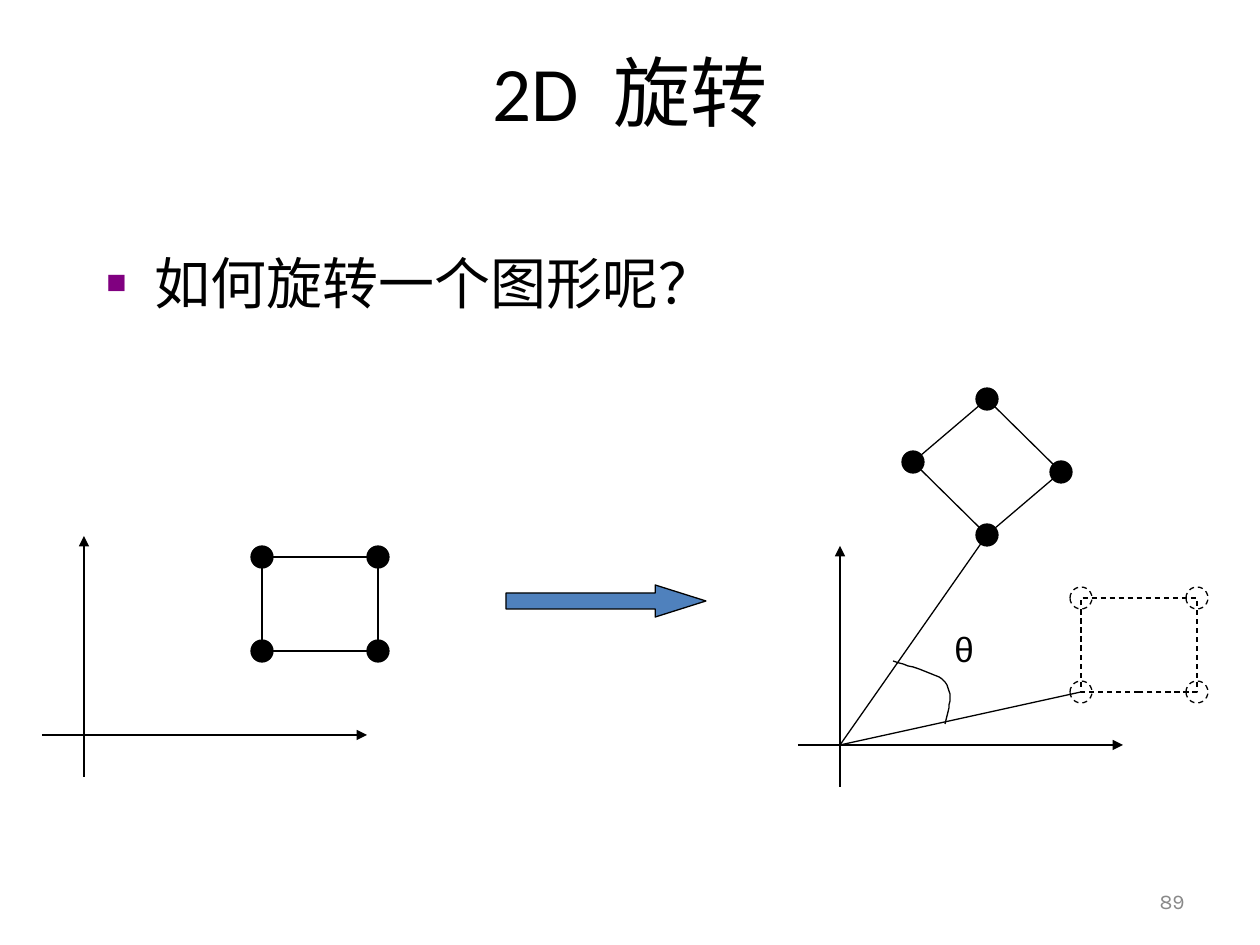
from dataclasses import dataclass
from lxml import etree
from pptx import Presentation, util as u
from pptx.dml.color import RGBColor
from pptx.enum import dml, shapes, text
from pptx.oxml.ns import qn

# Content
TITLE = ("2D", " ", "旋转")
QUESTION = "如何旋转一个图形呢？"
ANGLE = "θ"
PAGE = "89"

# Geometry in px; figure points are relative to their axes' origin, y down
BEFORE_ORIGIN = (84, 735)
AFTER_ORIGIN = (840, 745)
SQUARE_SIZE = (116, 94)
BEFORE_SQUARE = (178, -178)
AFTER_SQUARE = (241, -147)
ROTATED = [(147, -210), (221, -273), (147, -346), (73, -283)]
ARC_START = (105, -21)
ARC_CURVES = [
    [(109, -37), (114, -52), (105, -63)],
    [(96, -74), (61, -80), (53, -84)],
]
ARC_STEPS = 12
AXIS_X, AXIS_Y = (-42, 283), (42, -199)
DOT = 22


@dataclass(frozen=True)
class Theme:
    ink: RGBColor = RGBColor(0, 0, 0)
    arrow: RGBColor = RGBColor(0x4F, 0x81, 0xBD)
    muted: RGBColor = RGBColor(0x89, 0x89, 0x89)
    bullet: str = "800080"
    title: int = 44
    body: int = 32
    angle: int = 20
    page: int = 12
    line: float = 0.75


theme = Theme()
PX = u.Inches(1) / 126


def emu(*lengths):
    return [round(n * PX) for n in lengths]


def place(origin, point):
    return origin[0] + point[0], origin[1] + point[1]


def outline(part, dashed=False):
    part.line.color.rgb = theme.ink
    part.line.width = u.Pt(theme.line)
    if dashed:
        part.line.dash_style = dml.MSO_LINE.DASH


def add_form(kind, box, fill=None, dashed=False):
    form = slide.shapes.add_shape(kind, *emu(*box))
    form.shadow.inherit = False
    if fill is None:
        form.fill.background()
    else:
        form.fill.solid()
        form.fill.fore_color.rgb = fill
    outline(form, dashed)
    return form


def add_line(start, end, arrow=False):
    line = slide.shapes.add_connector(shapes.MSO_CONNECTOR.STRAIGHT, *emu(*start, *end))
    outline(line)
    if arrow:
        etree.SubElement(line.line._get_or_add_ln(), qn("a:tailEnd"), type="triangle")
    etree.SubElement(line._element.spPr, qn("a:effectLst"))


def add_dot(center, fill=None, dashed=False):
    x, y = center
    add_form(shapes.MSO_SHAPE.OVAL, (x - DOT / 2, y - DOT / 2, DOT, DOT), fill, dashed)


def add_axes(origin):
    add_line(place(origin, (AXIS_X[0], 0)), place(origin, (AXIS_X[1], 0)), arrow=True)
    add_line(place(origin, (0, AXIS_Y[0])), place(origin, (0, AXIS_Y[1])), arrow=True)


def add_square(corner, fill=None, dashed=False):
    (x, y), (w, h) = corner, SQUARE_SIZE
    add_form(shapes.MSO_SHAPE.RECTANGLE, (x, y, w, h), dashed=dashed)
    for dot_y in (y + h, y):
        for dot_x in (x, x + w):
            add_dot((dot_x, dot_y), fill, dashed)


def bezier(start, curve, t):
    weights = ((1 - t) ** 3, 3 * t * (1 - t) ** 2, 3 * t * t * (1 - t), t ** 3)
    return tuple(sum(w * p[i] for w, p in zip(weights, [start, *curve])) for i in (0, 1))


def add_arc(origin):
    points, start = [], ARC_START
    for curve in ARC_CURVES:
        points += [bezier(start, curve, n / ARC_STEPS) for n in range(1, ARC_STEPS + 1)]
        start = curve[-1]
    builder = slide.shapes.build_freeform(*place(origin, ARC_START), scale=PX)
    builder.add_line_segments([place(origin, p) for p in points], close=False)
    arc = builder.convert_to_shape()
    arc.shadow.inherit = False
    arc.fill.background()
    outline(arc)


def add_text(box, runs, font, size, color=theme.ink, align=text.PP_ALIGN.LEFT,
             anchor=text.MSO_ANCHOR.TOP, wrap=True):
    frame = slide.shapes.add_textbox(*emu(*box)).text_frame
    frame.word_wrap = wrap
    frame.vertical_anchor = anchor
    paragraph = frame.paragraphs[0]
    paragraph.alignment = align
    for words in runs:
        run = paragraph.add_run()
        run.text = words
        run.font.name = font
        run.font.size = u.Pt(size)
        run.font.color.rgb = color
    return paragraph


def add_bullet(paragraph, indent):
    props = paragraph._p.get_or_add_pPr()
    margin = emu(indent)[0]
    props.set("marL", str(margin))
    props.set("indent", str(-margin))
    color = etree.SubElement(props, qn("a:buClr"))
    etree.SubElement(color, qn("a:srgbClr"), val=theme.bullet)
    etree.SubElement(props, qn("a:buSzPct"), val="60000")
    etree.SubElement(props, qn("a:buFont"), typeface="Arial")
    etree.SubElement(props, qn("a:buChar"), char="■")


prs = Presentation()
prs.slide_width, prs.slide_height = emu(1260, 945)
slide = prs.slides.add_slide(prs.slide_layouts[6])

# Title, question and page number
title = add_text((63, 38, 1134, 158), TITLE, "Calibri", theme.title,
                 align=text.PP_ALIGN.CENTER)
title.runs[1].font._element.set("spc", "1000")  # widen the gap between the scripts
question = add_text((94, 242, 1071, 567), [QUESTION], "Calibri", theme.body)
question.space_before = u.Pt(theme.body * 0.2)
add_bullet(question, 48)
add_text((903, 876, 294, 50), [PAGE], "Karla", theme.page, theme.muted,
         text.PP_ALIGN.RIGHT, text.MSO_ANCHOR.MIDDLE)

# Before the rotation
add_axes(BEFORE_ORIGIN)
add_square(place(BEFORE_ORIGIN, BEFORE_SQUARE), fill=theme.ink)

# Arrow between the two figures
step = add_form(shapes.MSO_SHAPE.RIGHT_ARROW, (506, 585, 200, 32), theme.arrow)
step.adjustments[1] = 1.583

# After the rotation: dashed old square, solid rotated one
add_axes(AFTER_ORIGIN)
old_corner = place(AFTER_ORIGIN, AFTER_SQUARE)
add_square(old_corner, dashed=True)
rotated = [place(AFTER_ORIGIN, p) for p in ROTATED]
for start, end in zip(rotated, rotated[1:] + rotated[:1]):
    add_line(start, end)
for corner in rotated:
    add_dot(corner, theme.ink)

# Angle between the rays to the matching corners
add_line(AFTER_ORIGIN, (old_corner[0], old_corner[1] + SQUARE_SIZE[1]))
add_line(AFTER_ORIGIN, rotated[0])
add_arc(AFTER_ORIGIN)
add_text((942, 621, 44, 54), [ANGLE], "Arial", theme.angle, wrap=False)

prs.save("out.pptx")
